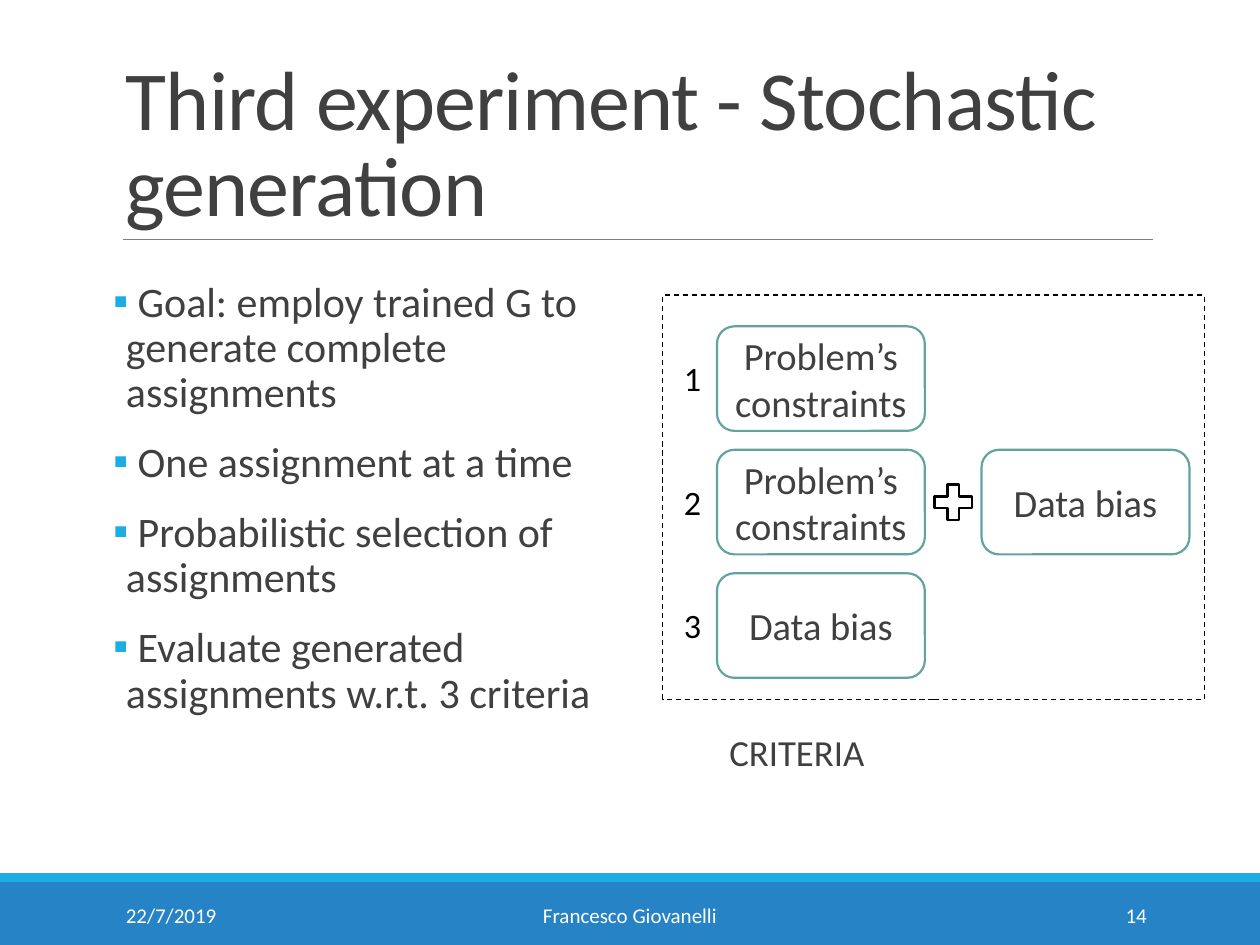
"""Build the slide on stochastic generation and its three evaluation criteria."""
from lxml.etree import SubElement
from pptx import Presentation
from pptx.dml.color import RGBColor
from pptx.enum.dml import MSO_LINE
from pptx.enum.shapes import MSO_CONNECTOR, MSO_SHAPE
from pptx.enum.text import MSO_ANCHOR, PP_ALIGN
from pptx.oxml.ns import qn
from pptx.util import Inches, Pt

TITLE = "Third experiment - Stochastic generation"
GOALS = [
    "Goal: employ trained G to generate complete assignments",
    "One assignment at a time",
    "Probabilistic selection of assignments",
    "Evaluate generated assignments w.r.t. 3 criteria",
]
CRITERIA = [
    ("1", ["Problem’s constraints"]),
    ("2", ["Problem’s constraints", "Data bias"]),
    ("3", ["Data bias"]),
]
CAPTION = "CRITERIA"
FOOTER = [
    ("22/7/2019", 0.9, 2.03, PP_ALIGN.LEFT),
    ("Francesco Giovanelli", 3.02, 3.96, PP_ALIGN.CENTER),
    ("14", 8.12, 1.08, PP_ALIGN.RIGHT),
]

THEME = {
    "font": "Calibri",
    "text": "404040", "black": "000000", "white": "FFFFFF",
    "accent": "1CADE4", "band": "2683C6", "rule": "808080", "box": "62A39F",
    "title_size": 48, "body_size": 24, "box_size": 22,
    "caption_size": 21, "number_size": 19.5, "footer_size": 12,
}

WIDTH, HEIGHT = 10, 7.5
MARGIN = 0.09 * WIDTH
CONTENT_WIDTH = 8.25
BAND_HEIGHT, STRIPE_HEIGHT = 0.5, 0.07
BAND_TOP = HEIGHT - BAND_HEIGHT
RULE_TOP = 1.9
GRID_LEFT, GRID_TOP = 5.69, 2.59
BOX_WIDTH, BOX_HEIGHT = 1.65, 0.83
COLUMN_STEP, ROW_STEP = 2.1, 0.98
NUMBER_LEFT, NUMBER_WIDTH, NUMBER_HEIGHT = 5.33, 0.45, 0.43
PLUS_WIDTH, PLUS_HEIGHT = 0.4, 0.38


def color(name):
    return RGBColor.from_string(THEME[name])


def apply(target, values):
    for name, value in values.items():
        setattr(target, name, value)


def write(shape, lines, size, ink="text", anchor=MSO_ANCHOR.TOP, frame=None, **paragraph_format):
    text_frame = shape.text_frame
    apply(text_frame, {"word_wrap": True, "vertical_anchor": anchor, **(frame or {})})
    text_frame.text = "\n".join(lines)
    for paragraph in text_frame.paragraphs:
        apply(paragraph, paragraph_format)
        font = paragraph.runs[0].font
        apply(font, {"name": THEME["font"], "size": Pt(THEME[size])})
        font.color.rgb = color(ink)
    return text_frame.paragraphs


def add_text(slide, area, lines, size, **options):
    return write(slide.shapes.add_textbox(*map(Inches, area)), lines, size, **options)


def add_shape(slide, kind, area, fill=None, line=None, weight=1.25):
    shape = slide.shapes.add_shape(kind, *map(Inches, area))
    shape.shadow.inherit = False
    if fill:
        shape.fill.solid()
        shape.fill.fore_color.rgb = color(fill)
    else:
        shape.fill.background()
    if line:
        shape.line.color.rgb = color(line)
        shape.line.width = Pt(weight)
    else:
        shape.line.fill.background()
    return shape


def add_bullet(paragraph):
    properties = paragraph._p.get_or_add_pPr()
    apply_indent = {"marL": Inches(0.1), "indent": Inches(-0.1)}
    for name, value in apply_indent.items():
        properties.set(name, str(value))
    bullet_color = SubElement(properties, qn("a:buClr"))
    SubElement(bullet_color, qn("a:srgbClr")).set("val", THEME["accent"])
    SubElement(properties, qn("a:buFont")).set("typeface", THEME["font"])
    SubElement(properties, qn("a:buChar")).set("char", "▪")


def add_frame(slide):
    add_shape(slide, MSO_SHAPE.RECTANGLE, (0, BAND_TOP, WIDTH, BAND_HEIGHT), "band")
    add_shape(slide, MSO_SHAPE.RECTANGLE,
              (0, BAND_TOP - STRIPE_HEIGHT, WIDTH, STRIPE_HEIGHT), "accent")
    ends = (0.98, RULE_TOP, MARGIN + CONTENT_WIDTH, RULE_TOP)
    rule = slide.shapes.add_connector(MSO_CONNECTOR.STRAIGHT, *map(Inches, ends))
    rule.line.color.rgb = color("rule")
    rule.line.width = Pt(0.5)
    SubElement(rule._element.spPr, qn("a:effectLst"))
    for text, left, width, alignment in FOOTER:
        add_text(slide, (left, BAND_TOP + 0.06, width, 0.4), [text], "footer_size",
                 ink="white", anchor=MSO_ANCHOR.MIDDLE, alignment=alignment)


def add_body(slide):
    title_top = 0.31
    title = add_text(slide, (MARGIN, title_top, CONTENT_WIDTH, RULE_TOP - title_top), [TITLE],
                     "title_size", anchor=MSO_ANCHOR.BOTTOM, line_spacing=0.85)
    title[0].runs[0]._r.get_or_add_rPr().set("spc", "-50")
    goals = add_text(slide, (MARGIN, 2.18, 4.23, 4.4), [f" {goal}" for goal in GOALS],
                     "body_size", frame={"margin_left": 0, "margin_right": 0},
                     line_spacing=0.9, space_before=Pt(12), space_after=Pt(2))
    for paragraph in goals:
        add_bullet(paragraph)


def add_criteria(slide):
    panel = add_shape(slide, MSO_SHAPE.RECTANGLE, (5.26, 2.34, 4.3, 3.21),
                      line="black", weight=0.75)
    panel.line.dash_style = MSO_LINE.DASH
    for row, (number, parts) in enumerate(CRITERIA):
        top = GRID_TOP + row * ROW_STEP
        middle = top + BOX_HEIGHT / 2
        add_text(slide, (NUMBER_LEFT, middle - NUMBER_HEIGHT / 2, NUMBER_WIDTH, NUMBER_HEIGHT),
                 [number], "number_size", ink="black")
        for column, part in enumerate(parts):
            left = GRID_LEFT + column * COLUMN_STEP
            box = add_shape(slide, MSO_SHAPE.ROUNDED_RECTANGLE,
                            (left, top, BOX_WIDTH, BOX_HEIGHT), "white", "box")
            write(box, [part], "box_size", anchor=MSO_ANCHOR.MIDDLE, alignment=PP_ALIGN.CENTER)
            if column:
                gap_center = left - (COLUMN_STEP - BOX_WIDTH) / 2
                add_shape(slide, MSO_SHAPE.MATH_PLUS,
                          (gap_center - PLUS_WIDTH / 2, middle - PLUS_HEIGHT / 2,
                           PLUS_WIDTH, PLUS_HEIGHT), "white", "black")
    add_text(slide, (GRID_LEFT, 5.74, 1.47, 0.45), [CAPTION], "caption_size")


def main():
    presentation = Presentation()
    apply(presentation, {"slide_width": Inches(WIDTH), "slide_height": Inches(HEIGHT)})
    slide = presentation.slides.add_slide(presentation.slide_layouts[6])
    add_frame(slide)
    add_body(slide)
    add_criteria(slide)
    presentation.save("out.pptx")


if __name__ == "__main__":
    main()
